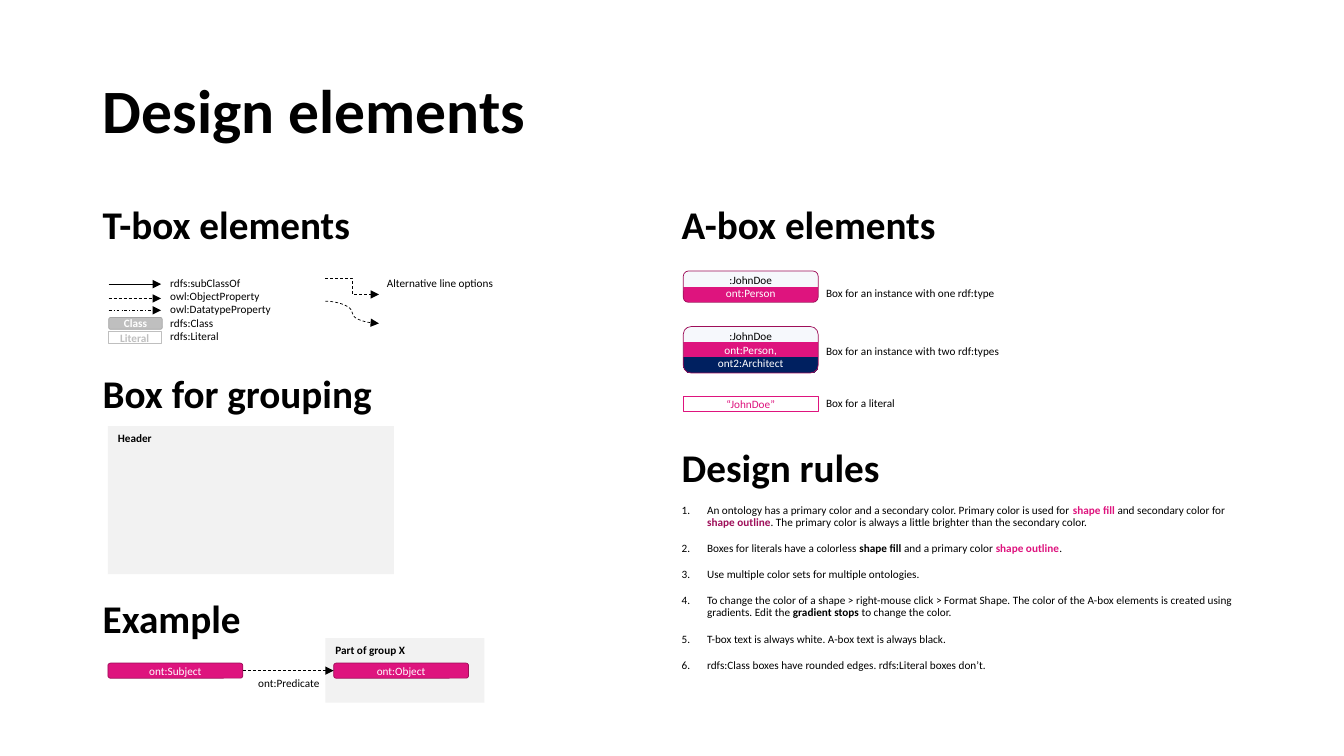
from lxml import etree
from pptx import Presentation
from pptx.dml.color import RGBColor
from pptx.enum.dml import MSO_LINE
from pptx.enum.shapes import MSO_CONNECTOR, MSO_SHAPE
from pptx.enum.text import MSO_ANCHOR, MSO_AUTO_SIZE, PP_ALIGN
from pptx.oxml.ns import qn
from pptx.util import Cm, Pt

RECT, ROUND = MSO_SHAPE.RECTANGLE, MSO_SHAPE.ROUNDED_RECTANGLE
LINE, BENT, CURVE = MSO_CONNECTOR.STRAIGHT, MSO_CONNECTOR.ELBOW, MSO_CONNECTOR.CURVE
DASH, DOT = MSO_LINE.DASH, MSO_LINE.DASH_DOT
TOP, MID = MSO_ANCHOR.TOP, MSO_ANCHOR.MIDDLE
LEFT, CENTER = PP_ALIGN.LEFT, PP_ALIGN.CENTER
NONE = MSO_AUTO_SIZE.NONE
hue = RGBColor.from_string
BLACK, WHITE, PALE, GREY = "000000", "FFFFFF", "F6F8FC", "BFBFBF"
PINK, WINE, NAVY, MIST = "DE147E", "9E0E59", "002060", "F2F2F2"

deck = Presentation()
deck.slide_width, deck.slide_height = Cm(33.87), Cm(19.05)
slide = deck.slides.add_slide(deck.slide_layouts[5])
shapes = slide.shapes


def write(shape, paras, anchor=TOP, align=LEFT, size=8, bold=False, **para_form):
    frame = shape.text_frame
    form = {"word_wrap": True, "auto_size": NONE, "vertical_anchor": anchor}
    if anchor == MID:
        form.update(margin_top=0, margin_bottom=0)
    for key, value in form.items():
        setattr(frame, key, value)
    for i, runs in enumerate(paras):
        para = frame.add_paragraph() if i else frame.paragraphs[0]
        for key, value in {"alignment": align, **para_form}.items():
            setattr(para, key, value)
        for words, color, *heavy in runs:
            run = para.add_run()
            run.text = words
            font = {"name": "Calibri", "size": Pt(size), "bold": bool(heavy) or bold}
            for key, value in font.items():
                setattr(run.font, key, value)
            run.font.color.rgb = hue(color)


def box(kind, place, fill, edge, paras, **form):
    shape = shapes.add_shape(kind, *map(Cm, place))
    shape.shadow.inherit = False
    if isinstance(fill, str):
        shape.fill.solid()
        shape.fill.fore_color.rgb = hue(fill)
    else:
        shape.fill.gradient()
        shape.fill.gradient_angle = 270
        stops = shape._element.spPr.find(".//" + qn("a:gsLst"))
        for stop in list(stops):
            stops.remove(stop)
        for percent, color in fill:
            stop = etree.SubElement(stops, qn("a:gs"), pos=str(percent * 1000))
            etree.SubElement(stop, qn("a:srgbClr"), val=color)
    if edge:
        shape.line.color.rgb = hue(edge)
        shape.line.width = Pt(0.5)
    else:
        shape.line.fill.background()
    write(shape, paras, **form)


title = shapes.title
title.left, title.top, title.width, title.height = map(Cm, (2.34, 1.02, 29.21, 3.68))
write(title, [[("Design elements", BLACK)]], MID, size=44, bold=True, line_spacing=0.9)

heads = [
    (2.34, 5.08, "T-box elements"),
    (2.34, 9.35, "Box for grouping"),
    (2.34, 15.01, "Example"),
    (16.93, 5.08, "A-box elements"),
    (16.93, 11.2, "Design rules"),
]
for x, y, words in heads:
    head = shapes.add_textbox(Cm(x), Cm(y), Cm(14.6), Cm(1.27))
    write(head, [[(words, BLACK)]], MID, size=28, bold=True, line_spacing=0.9)

groups = [
    ((8.2, 16.08, 4.01, 1.63), "Part of group X"),
    ((2.72, 10.74, 7.21, 3.73), "Header"),
]
for place, words in groups:
    box(RECT, place, MIST, None, [[(words, BLACK)]], bold=True)

one = [(50, PALE), (50, PINK)]
two = [(33, PALE), (33, PINK), (65, PINK), (66, NAVY)]
john = [(":JohnDoe", BLACK)]
nodes = [
    (ROUND, (2.74, 8, 1.35, 0.3), GREY, "A6A6A6", [[("Class", WHITE, True)]]),
    (RECT, (2.72, 8.36, 1.35, 0.3), WHITE, GREY, [[("Literal", GREY, True)]]),
    (ROUND, (2.72, 16.71, 3.4, 0.38), PINK, WINE, [[("ont:Subject", WHITE)]]),
    (ROUND, (8.41, 16.71, 3.4, 0.38), PINK, WINE, [[("ont:Object", WHITE)]]),
    (ROUND, (17.22, 6.83, 3.4, 0.79), one, WINE, [john, [("ont:Person", WHITE)]]),
    (ROUND, (17.22, 8.23, 3.4, 1.17), two, WINE,
     [john, [("ont:Person, ont2:Architect", WHITE)]]),
    (RECT, (17.22, 9.98, 3.4, 0.38), WHITE, PINK, [[("“JohnDoe”", PINK)]]),
]
for node in nodes:
    box(*node, anchor=MID, align=CENTER)

arrows = [
    (LINE, (2.74, 7.16, 4.06, 7.16), None),
    (LINE, (2.74, 7.52, 4.06, 7.52), DASH),
    (LINE, (2.74, 7.82, 4.06, 7.82), DOT),
    (LINE, (6.12, 16.9, 8.41, 16.9), DASH),
    (BENT, (8.2, 7.01, 9.55, 7.42), DASH),
    (CURVE, (8.2, 7.59, 9.55, 8.15), DASH),
]
for kind, ends, dash in arrows:
    arrow = shapes.add_connector(kind, *map(Cm, ends))
    arrow.line.color.rgb = hue(BLACK)
    arrow.line.width = Pt(0.5)
    if dash:
        arrow.line.dash_style = dash
    etree.SubElement(arrow.line._get_or_add_ln(), qn("a:tailEnd"), type="triangle")
    etree.SubElement(arrow._element.spPr, qn("a:effectLst"))

terms = ["rdfs:subClassOf", "owl:ObjectProperty", "owl:DatatypeProperty",
         "rdfs:Class", "rdfs:Literal"]
labels = [
    ((4.04, 6.83, 3.1, 1.96), terms, TOP, LEFT),
    ((9.5, 6.83, 4, 0.6), ["Alternative line options"], TOP, LEFT),
    ((5.28, 16.92, 4, 0.6), ["ont:Predicate"], TOP, CENTER),
    ((20.57, 7.09, 6, 0.6), ["Box for an instance with one rdf:type"], MID, LEFT),
    ((20.57, 8.54, 6, 0.6), ["Box for an instance with two rdf:types"], MID, LEFT),
    ((20.57, 9.86, 6, 0.6), ["Box for a literal"], MID, LEFT),
]
for place, lines, anchor, align in labels:
    label = shapes.add_textbox(*map(Cm, place))
    write(label, [[(words, BLACK)] for words in lines], anchor, align)

rules = [
    [("An ontology has a primary color and a secondary color. "
      "Primary color is used for ", BLACK),
     ("shape fill ", PINK, True), ("and secondary color for ", BLACK),
     ("shape outline", WINE, True),
     (". The primary color is always a little brighter than the secondary color.", BLACK)],
    [("Boxes for literals have a colorless ", BLACK), ("shape fill ", BLACK, True),
     ("and a primary color ", BLACK), ("shape outline", PINK, True), (".", BLACK)],
    [("Use multiple color sets for multiple ontologies.", BLACK)],
    [("To change the color of a shape > right-mouse click > Format Shape. "
      "The color of the A-box elements is created using gradients. Edit the ", BLACK),
     ("gradient stops", BLACK, True), (" to change the color. ", BLACK)],
    [("T-box text is always white. A-box text is always black.", BLACK)],
    [("rdfs:Class boxes have rounded edges. rdfs:Literal boxes don’t.", BLACK)],
]
guide = shapes.add_textbox(Cm(16.93), Cm(12.6), Cm(14.6), Cm(4.8))
write(guide, rules, line_spacing=0.9, space_before=Pt(10))
for para in guide.text_frame.paragraphs:
    props = para._p.get_or_add_pPr()
    props.set("marL", str(Cm(0.64)))
    props.set("indent", str(-Cm(0.64)))
    etree.SubElement(props, qn("a:buAutoNum"), type="arabicPeriod")

deck.save("out.pptx")
